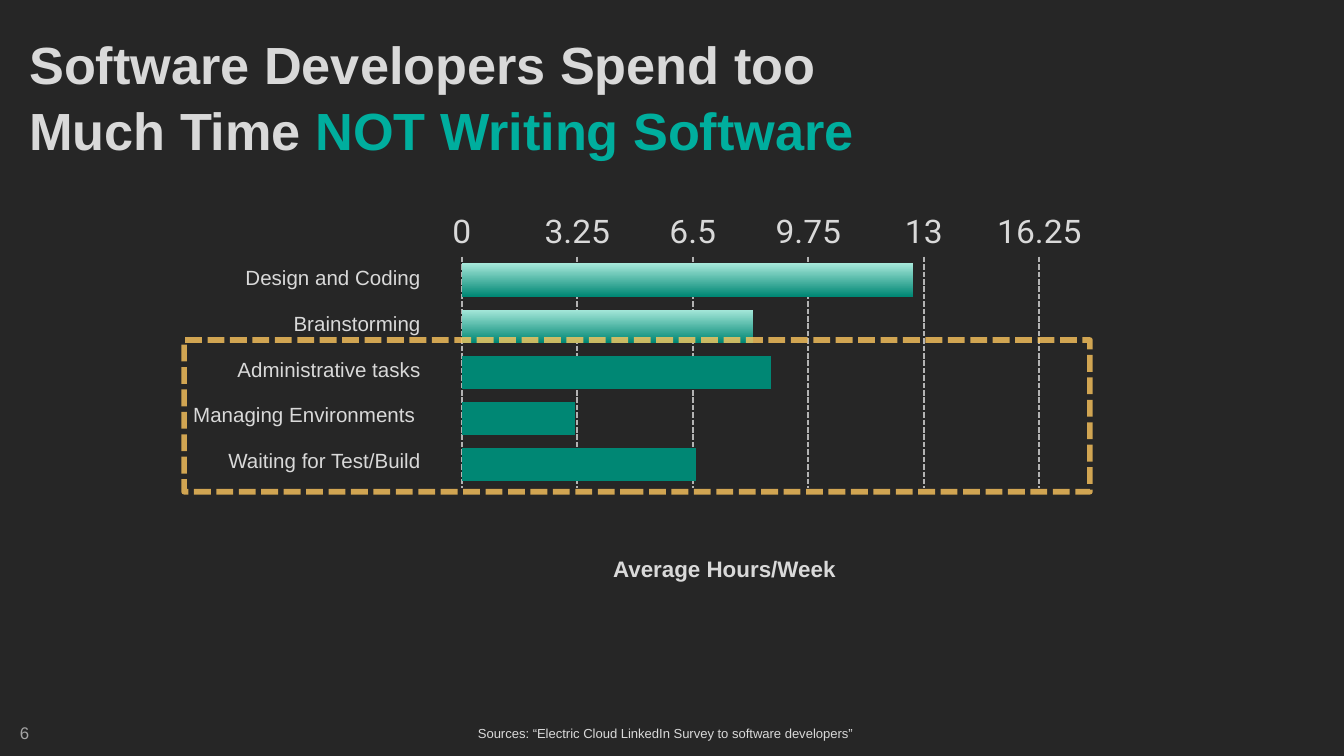
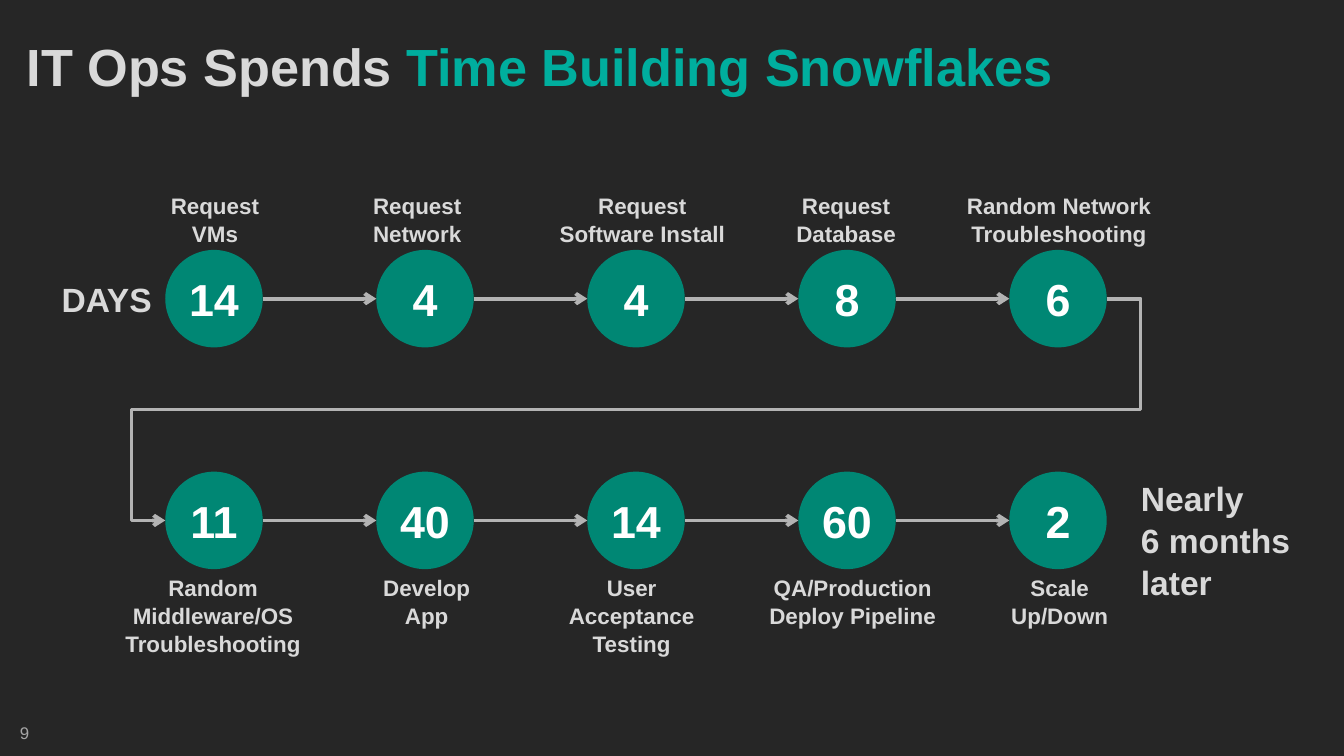
"""Build two dark slides on where developer and operations time goes."""
from dataclasses import dataclass
from typing import Optional

from lxml import etree
from pptx import Presentation
from pptx.chart.data import CategoryChartData
from pptx.dml.color import RGBColor
from pptx.enum.chart import XL_AXIS_CROSSES, XL_CHART_TYPE, XL_TICK_MARK
from pptx.enum.dml import MSO_LINE_DASH_STYLE
from pptx.enum.shapes import MSO_CONNECTOR, MSO_SHAPE
from pptx.enum.text import MSO_ANCHOR, PP_ALIGN
from pptx.oxml.ns import qn
from pptx.util import Inches, Pt

LEFT, CENTER, RIGHT = PP_ALIGN.LEFT, PP_ALIGN.CENTER, PP_ALIGN.RIGHT
TOP, MIDDLE = MSO_ANCHOR.TOP, MSO_ANCHOR.MIDDLE
STRAIGHT, ELBOW = MSO_CONNECTOR.STRAIGHT, MSO_CONNECTOR.ELBOW
OVAL, RECTANGLE = MSO_SHAPE.OVAL, MSO_SHAPE.RECTANGLE
DASHED = MSO_LINE_DASH_STYLE.SQUARE_DOT
BAR, AT_END, NO_TICK = XL_CHART_TYPE.BAR_CLUSTERED, XL_AXIS_CROSSES.MAXIMUM, XL_TICK_MARK.NONE

CELL = 0.1
COLUMNS, ROWS = 100, 56.25


@dataclass(frozen=True)
class Theme:
    """Colours, fonts and type sizes of the deck."""
    background: RGBColor = RGBColor(0x26, 0x26, 0x26)
    text: RGBColor = RGBColor(0xD9, 0xD9, 0xD9)
    muted: RGBColor = RGBColor(0xA6, 0xA6, 0xA6)
    rule: RGBColor = RGBColor(0xB3, 0xB3, 0xB3)
    accent: RGBColor = RGBColor(0x00, 0xAE, 0x9E)
    fill: RGBColor = RGBColor(0x00, 0x87, 0x74)
    sheen: RGBColor = RGBColor(0xA6, 0xE8, 0xDA)
    highlight: RGBColor = RGBColor(0xFF, 0xC8, 0x5F)
    white: RGBColor = RGBColor(0xFF, 0xFF, 0xFF)
    font: str = "Arial"
    axis_font: str = "Roboto"
    title_size: float = 28
    number_size: float = 24
    large_size: float = 18
    label_size: float = 12
    task_size: float = 11
    chart_size: float = 10
    page_size: float = 9
    source_size: float = 7


THEME = Theme()


@dataclass(frozen=True)
class Style:
    """Look of one kind of text; a tight one has small even insets."""
    size: float
    color: RGBColor = THEME.text
    bold: bool = True
    align: PP_ALIGN = LEFT
    anchor: MSO_ANCHOR = TOP
    inset: Optional[float] = None
    wrap: bool = True
    spacing: float = 1.05


@dataclass(frozen=True)
class Box:
    """Area in grid columns and rows."""
    column: float
    row: float
    columns: float
    rows: float

    def lengths(self) -> tuple:
        """Return left, top, width and height."""
        return tuple(grid(n) for n in (self.column, self.row, self.columns, self.rows))


@dataclass(frozen=True)
class Task:
    """Weekly task with its average hours."""
    label: str
    hours: float
    productive: bool = False
    shift: float = 0


@dataclass(frozen=True)
class Step:
    """Step of the delivery process, with its label's centre and width."""
    days: str
    label: str
    center: float
    columns: float


TITLE = Style(THEME.title_size)
PAGE = Style(THEME.page_size, THEME.muted, bold=False)
SOURCE = Style(THEME.source_size, bold=False, align=CENTER, anchor=MIDDLE, inset=0.2, wrap=False)
TASK = Style(THEME.task_size, bold=False, align=RIGHT, anchor=MIDDLE, inset=0.6)
AXIS_TITLE = Style(THEME.label_size, align=CENTER, anchor=MIDDLE, inset=0.6)
STEP = Style(THEME.label_size, align=CENTER)
DAYS = Style(THEME.number_size, THEME.white, align=CENTER, anchor=MIDDLE, inset=0.6,
             wrap=False, spacing=1)
REMARK = Style(THEME.large_size)

TASKS = (
    Task("Design and Coding", 12.7, productive=True),
    Task("Brainstorming", 8.2, productive=True),
    Task("Administrative tasks", 8.7),
    Task("Managing Environments", 3.2, shift=-0.4),
    Task("Waiting for Test/Build", 6.6),
)
TASK_ROW, TASK_PITCH = 19.1, 3.4
HOURS_STEP = 3.25
PLOT_SHARES = {"x": 0.22, "y": 0.065, "w": 0.551, "h": 0.529}

REQUESTS = (
    Step("14", "Request VMs", 16, 8.6),
    Step("4", "Request Network", 31.05, 11.3),
    Step("4", "Request Software Install", 47.8, 14.6),
    Step("8", "Request Database", 62.95, 11.5),
    Step("6", "Random Network Troubleshooting", 78.8, 19.6),
)
DELIVERY = (
    Step("11", "Random Middleware/OS Troubleshooting", 15.85, 15.9),
    Step("40", "Develop App", 31.75, 11.7),
    Step("14", "User Acceptance Testing", 47, 14.8),
    Step("60", "QA/Production\nDeploy Pipeline", 63.45, 15.3),
    Step("2", "Scale Up/Down", 78.85, 13.1),
)
CIRCLE_COLUMN, CIRCLE_PITCH, CIRCLE = 12.3, 15.7, 7.25
REQUEST_ROW, DELIVERY_ROW = 18.6, 35.1


def grid(cells: float) -> int:
    """Turn grid cells into a length."""
    return Inches(cells * CELL)


def write(frame, text: str, style: Style, accent: str = "") -> None:
    """Fill a text frame with one paragraph, ending in an accented part if given."""
    frame.word_wrap = style.wrap
    frame.vertical_anchor = style.anchor
    if style.inset is not None:
        frame.margin_left = frame.margin_right = grid(style.inset)
        frame.margin_top = frame.margin_bottom = grid(style.inset)
    paragraph = frame.paragraphs[0]
    paragraph.text = text
    paragraph.alignment = style.align
    paragraph.line_spacing = style.spacing
    font = paragraph.font
    font.name, font.size, font.bold = THEME.font, Pt(style.size), style.bold
    font.color.rgb = style.color
    if accent:
        ending = paragraph.add_run()
        ending.text = accent
        ending.font.color.rgb = THEME.accent


def add_text(slide, box: Box, text: str, style: Style, accent: str = "") -> None:
    """Place text on the grid."""
    write(slide.shapes.add_textbox(*box.lengths()).text_frame, text, style, accent)


def add_page(deck, number: str, title_box: Box, title: str, accent: str):
    """Add a slide with its title and page number."""
    slide = deck.slides.add_slide(deck.slide_layouts[6])
    add_text(slide, title_box, title, TITLE, accent)
    add_text(slide, Box(0.5, 53.2, 4.1, 3), number, PAGE)
    return slide


def add_hours_chart(slide) -> None:
    """Draw the bars of hours per task."""
    hours = CategoryChartData()
    hours.categories = [str(i) for i in range(1, len(TASKS) + 1)]
    hours.add_series("Series 1", [task.hours for task in TASKS])
    chart = slide.shapes.add_chart(BAR, *Box(17.2, 15.9, 78, 33.6).lengths(), hours).chart
    chart.has_legend = chart.has_title = False
    chart.font.name, chart.font.size = THEME.font, Pt(THEME.chart_size)

    task_axis, hours_axis = chart.category_axis, chart.value_axis
    task_axis.reverse_order, task_axis.visible = True, False
    task_axis.crosses = AT_END
    hours_axis.minimum_scale, hours_axis.maximum_scale = 0, 5 * HOURS_STEP
    hours_axis.major_unit = HOURS_STEP
    hours_axis.major_tick_mark = hours_axis.minor_tick_mark = NO_TICK
    hours_axis.format.line.fill.background()
    gridline = hours_axis.major_gridlines.format.line
    gridline.color.rgb, gridline.width, gridline.dash_style = THEME.rule, Pt(1), DASHED
    ticks = hours_axis.tick_labels
    ticks.number_format, ticks.number_format_is_linked = "General", False
    ticks.font.name, ticks.font.size = THEME.axis_font, Pt(THEME.large_size)
    ticks.font.color.rgb = THEME.text

    plot = chart.plots[0]
    plot.gap_width, plot.overlap, plot.vary_by_categories = 40, -10, False
    series = plot.series[0]
    series.invert_if_negative = False
    series.format.fill.solid()
    series.format.fill.fore_color.rgb = THEME.accent
    for i, task in enumerate(TASKS):
        fill = series.points[i].format.fill
        if task.productive:
            fill.gradient()
            fill.gradient_angle = 270
            for stop, color in zip(fill.gradient_stops, (THEME.sheen, THEME.fill)):
                stop.color.rgb = color
        else:
            fill.solid()
            fill.fore_color.rgb = THEME.fill
    set_plot_area(chart)


def set_plot_area(chart) -> None:
    """Fix the inner plot area at its shares of the chart."""
    area = next(chart.element.iter(qn("c:plotArea")))
    layout = area.find(qn("c:layout"))
    if layout is None:
        layout = etree.Element(qn("c:layout"))
        area.insert(0, layout)
    manual = etree.SubElement(layout, qn("c:manualLayout"))
    settings = {"layoutTarget": "inner", "xMode": "edge", "yMode": "edge", **PLOT_SHARES}
    for tag, value in settings.items():
        etree.SubElement(manual, qn(f"c:{tag}")).set("val", str(value))


def add_highlight(slide, box: Box) -> None:
    """Frame an area with a translucent dashed line."""
    frame = slide.shapes.add_shape(RECTANGLE, *box.lengths())
    frame.shadow.inherit = False
    frame.fill.background()
    frame.line.color.rgb, frame.line.width = THEME.highlight, Pt(3)
    frame.line.dash_style = DASHED
    color = next(frame.line._ln.iter(qn("a:srgbClr")))
    etree.SubElement(color, qn("a:alpha")).set("val", "78000")


def add_arrow(slide, kind: MSO_CONNECTOR, start: tuple, end: tuple):
    """Draw an arrow between two grid points."""
    arrow = slide.shapes.add_connector(kind, *(grid(n) for n in (*start, *end)))
    arrow.line.color.rgb, arrow.line.width = THEME.rule, Pt(2)
    etree.SubElement(arrow.line._ln, qn("a:tailEnd")).set("type", "arrow")
    etree.SubElement(arrow._element.spPr, qn("a:effectLst"))
    return arrow


def add_return_arrow(slide, start: tuple, end: tuple) -> None:
    """Lead from the end of one row round to the start of the next."""
    arrow = add_arrow(slide, ELBOW, start, end)
    geometry = arrow._element.spPr.find(qn("a:prstGeom"))
    geometry.set("prst", "bentConnector5")
    adjustments = geometry.find(qn("a:avLst"))
    for i, share in enumerate((-3600, 50000, 103600), 1):
        guide = etree.SubElement(adjustments, qn("a:gd"))
        guide.set("name", f"adj{i}")
        guide.set("fmla", f"val {share}")


def add_steps(slide, steps: tuple, row: float, label_row: float) -> None:
    """Draw one row of the process with its labels and arrows."""
    for i, step in enumerate(steps):
        column = CIRCLE_COLUMN + i * CIRCLE_PITCH
        circle = slide.shapes.add_shape(OVAL, *Box(column, row, CIRCLE, CIRCLE).lengths())
        circle.shadow.inherit = False
        circle.fill.solid()
        circle.fill.fore_color.rgb = THEME.fill
        circle.line.fill.background()
        write(circle.text_frame, step.days, DAYS)
        label_rows = 7.1 if len(step.label.split()) > 2 and row == DELIVERY_ROW else 5
        label_box = Box(step.center - step.columns / 2, label_row, step.columns, label_rows)
        add_text(slide, label_box, step.label, STEP)
        if i:
            middle = row + CIRCLE / 2
            add_arrow(slide, STRAIGHT, (column - CIRCLE_PITCH + CIRCLE, middle), (column, middle))


def build_developer_slide(deck) -> None:
    """Show how developers spend the week."""
    slide = add_page(deck, "6", Box(1.2, 1.7, 70.4, 10.7),
                     "Software Developers Spend too Much Time ", "NOT Writing Software")
    add_hours_chart(slide)
    for i, task in enumerate(TASKS):
        add_text(slide, Box(10.8 + task.shift, TASK_ROW + i * TASK_PITCH, 21.1, 3),
                 task.label, TASK)
    add_text(slide, Box(38, 40.7, 31.8, 3.1), "Average Hours/Week", AXIS_TITLE)
    add_text(slide, Box(34.9, 53.7, 29.2, 1.6),
             "Sources: “Electric Cloud LinkedIn Survey to software developers”", SOURCE)
    add_highlight(slide, Box(13.7, 25.3, 67.4, 11.3))


def build_operations_slide(deck) -> None:
    """Show the days each step of delivery takes."""
    slide = add_page(deck, "9", Box(1, 1.8, 95.2, 5.7),
                     "IT Ops Spends ", "Time Building Snowflakes")
    add_steps(slide, REQUESTS, REQUEST_ROW, 13.7)
    add_steps(slide, DELIVERY, DELIVERY_ROW, 42.1)
    row_end = CIRCLE_COLUMN + (len(REQUESTS) - 1) * CIRCLE_PITCH + CIRCLE
    add_return_arrow(slide, (row_end, REQUEST_ROW + CIRCLE / 2),
                     (CIRCLE_COLUMN, DELIVERY_ROW + CIRCLE / 2))
    add_text(slide, Box(3.6, 20.1, 9.3, 4), "DAYS", REMARK)
    add_text(slide, Box(83.9, 34.9, 14.1, 10.1), "Nearly\n6 months\nlater", REMARK)


def main() -> None:
    """Build and save the deck."""
    deck = Presentation()
    deck.slide_width, deck.slide_height = grid(COLUMNS), grid(ROWS)
    backdrop = deck.slide_master.background.fill
    backdrop.solid()
    backdrop.fore_color.rgb = THEME.background
    build_developer_slide(deck)
    build_operations_slide(deck)
    deck.save("out.pptx")


if __name__ == "__main__":
    main()
